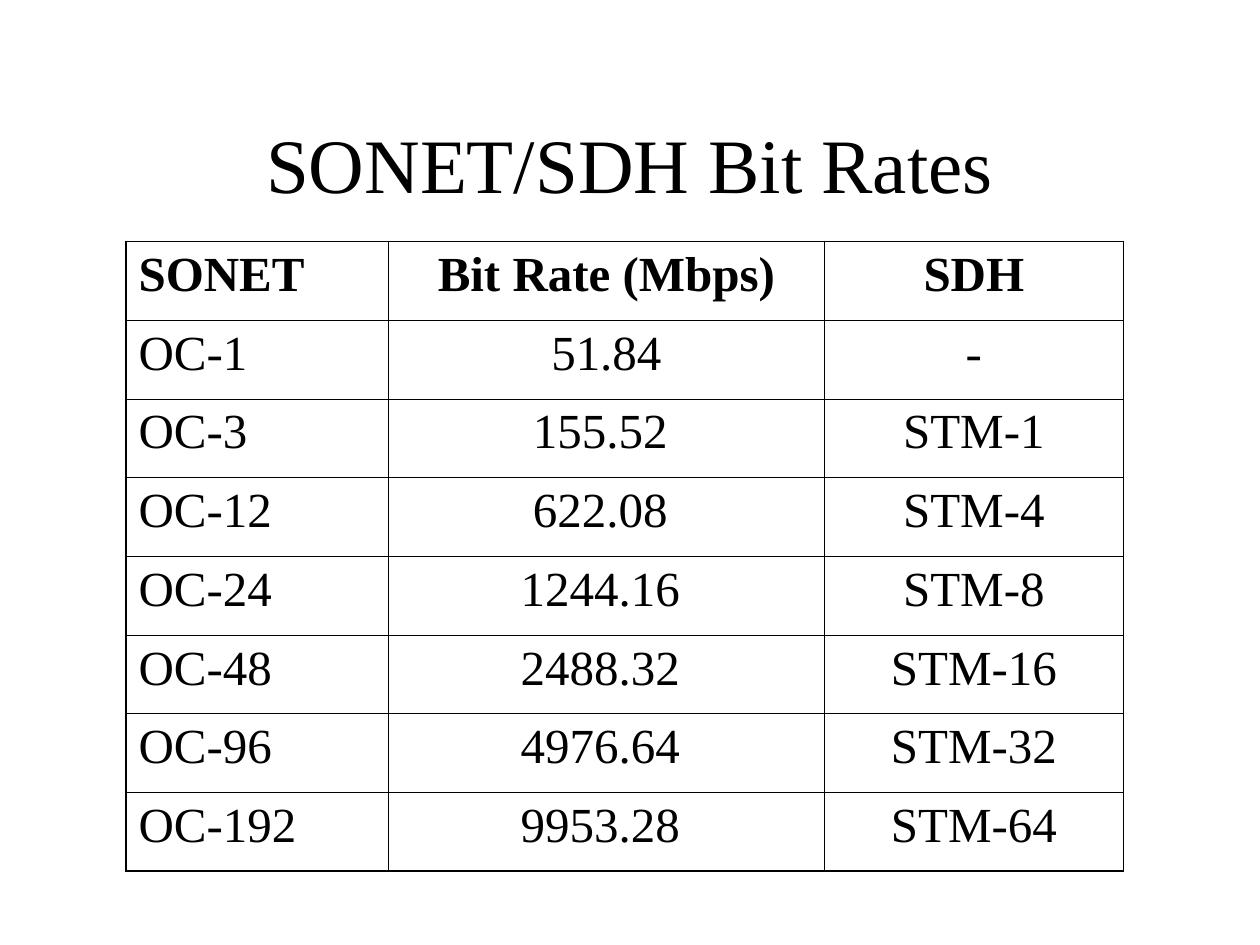
from lxml import etree
from pptx import Presentation
from pptx.dml.color import RGBColor
from pptx.enum import text
from pptx.oxml import ns
from pptx.util import Pt

BLACK = RGBColor(0x00, 0x00, 0x00)
THIN, THICK = Pt(0.45), Pt(1.08)
COLUMN_WIDTHS = [Pt(150), Pt(249), Pt(171)]
ROW_HEIGHT = Pt(45)
BIT_RATES = [
    ("SONET", "Bit Rate (Mbps)", "SDH"),
    ("OC-1", "51.84", " - "),
    ("OC-3", "155.52 ", "STM-1"),
    ("OC-12", "622.08 ", "STM-4"),
    ("OC-24", "1244.16 ", "STM-8"),
    ("OC-48", "2488.32 ", "STM-16"),
    ("OC-96", "4976.64 ", "STM-32"),
    ("OC-192", "9953.28 ", "STM-64"),
]


class RatesSlide:
    font_name = "Times New Roman"
    title_size = Pt(44)
    cell_size = Pt(28)

    def __init__(self, slide):
        self.slide = slide

    def add_words(self, frame, words, size, align, bold=False):
        paragraph = frame.paragraphs[0]
        paragraph.alignment = align
        run = paragraph.add_run()
        run.text = words
        run.font.name = self.font_name
        run.font.size = size
        run.font.bold = bold
        run.font.color.rgb = BLACK

    def title(self, words, left, top, width, height):
        heading = self.slide.shapes.title
        heading.left, heading.top = left, top
        heading.width, heading.height = width, height
        heading.text_frame.vertical_anchor = text.MSO_ANCHOR.MIDDLE
        self.add_words(heading.text_frame, words, self.title_size, text.PP_ALIGN.CENTER)

    def borders(self, cell, widths):
        properties = cell._tc.get_or_add_tcPr()
        for position, (side, width) in enumerate(zip("LRTB", widths)):
            line = etree.Element(ns.qn(f"a:ln{side}"), w=str(width))
            fill = etree.SubElement(line, ns.qn("a:solidFill"))
            etree.SubElement(fill, ns.qn("a:srgbClr"), val=str(BLACK))
            properties.insert(position, line)

    def table(self, rows, left, top):
        last_row, last_column = len(rows) - 1, len(COLUMN_WIDTHS) - 1
        rates = self.slide.shapes.add_table(
            len(rows), len(COLUMN_WIDTHS), left, top,
            sum(COLUMN_WIDTHS), ROW_HEIGHT * len(rows)).table
        rates.first_row = rates.horz_banding = False
        for column, width in zip(rates.columns, COLUMN_WIDTHS):
            column.width = width
        for r, values in enumerate(rows):
            rates.rows[r].height = ROW_HEIGHT
            for c, value in enumerate(values):
                cell = rates.cell(r, c)
                cell.fill.background()
                align = text.PP_ALIGN.CENTER if c else text.PP_ALIGN.LEFT
                self.add_words(cell.text_frame, value, self.cell_size, align, r == 0)
                outer = (c == 0, c == last_column, r == 0, r == last_row)
                self.borders(cell, [THICK if edge else THIN for edge in outer])


def main():
    deck = Presentation()
    deck.slide_width, deck.slide_height = Pt(720), Pt(540)
    page = RatesSlide(deck.slides.add_slide(deck.slide_layouts[5]))
    page.title("SONET/SDH Bit Rates", Pt(54), Pt(48), Pt(612), Pt(90))
    page.table(BIT_RATES, Pt(72), Pt(138))
    deck.save("out.pptx")


if __name__ == "__main__":
    main()
